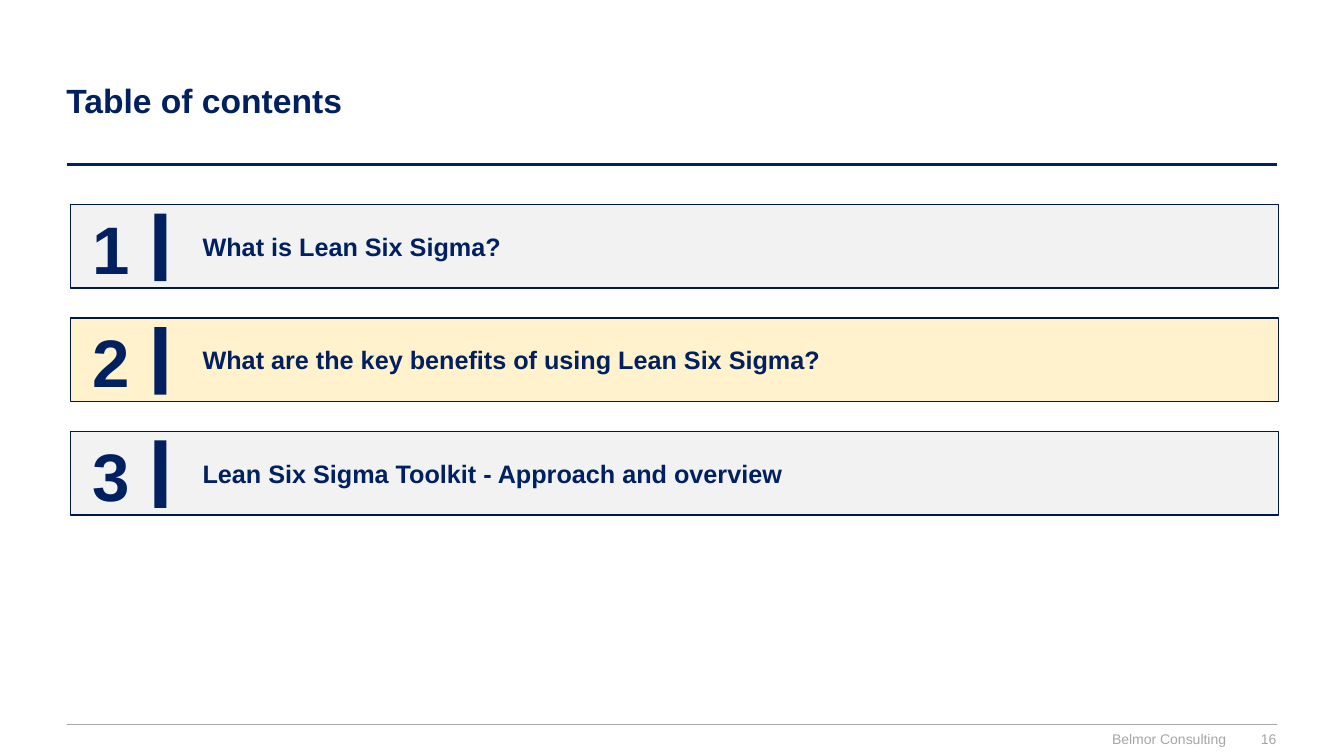
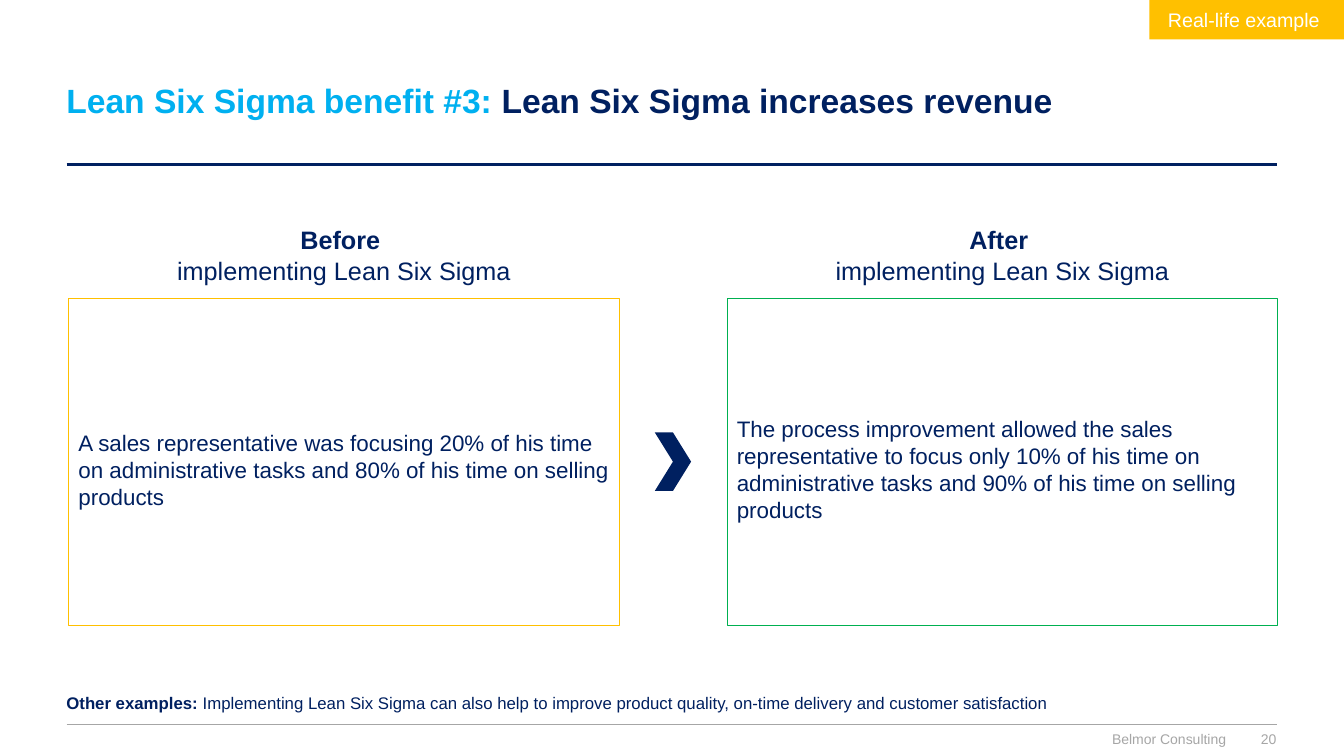
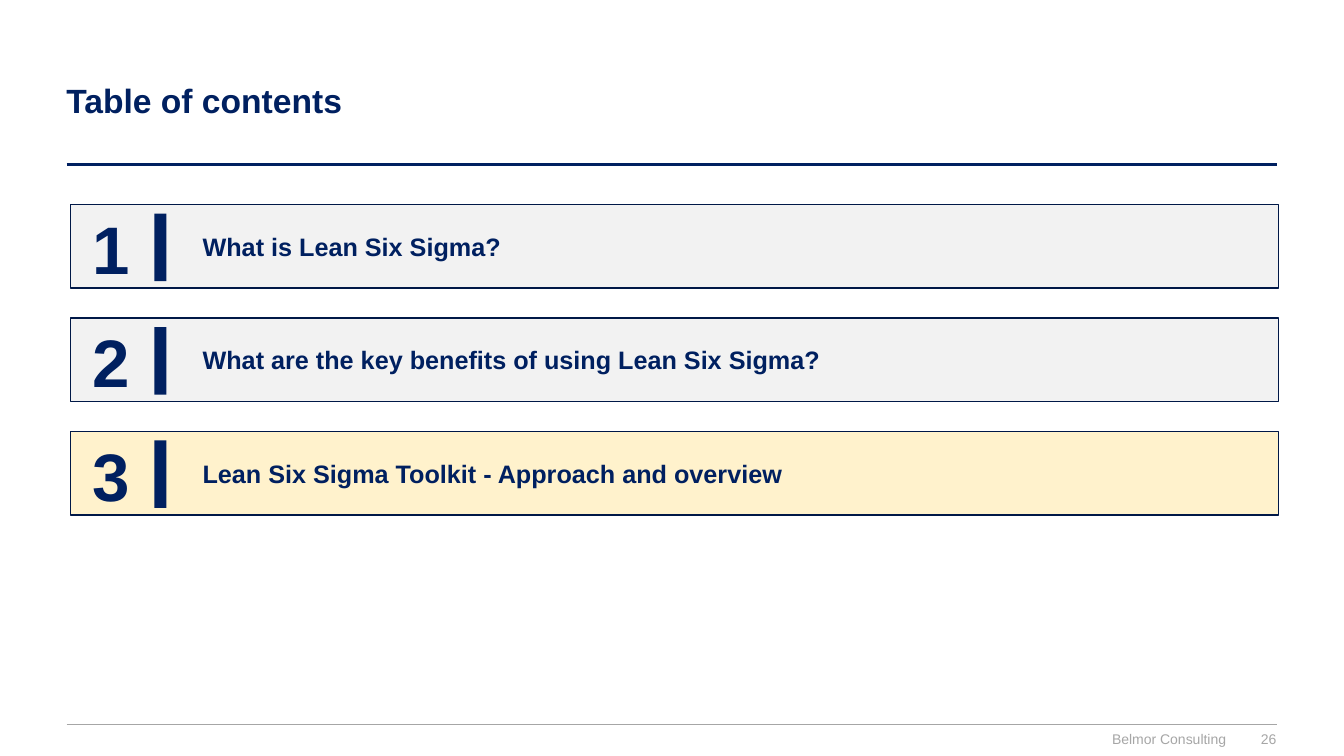
from pptx import Presentation
from pptx.dml.color import RGBColor
from pptx.enum.shapes import MSO_CONNECTOR, MSO_SHAPE
from pptx.enum.text import MSO_ANCHOR, PP_ALIGN
from pptx.oxml.ns import qn
from pptx.util import Inches, Pt
from lxml.etree import SubElement

NAVY = RGBColor(0x00, 0x20, 0x60)
EDGE = RGBColor(0x00, 0x18, 0x47)
SKY = RGBColor(0x00, 0xB0, 0xF0)
GOLD = RGBColor(0xFF, 0xC0, 0x00)
GREEN = RGBColor(0x00, 0xB0, 0x50)
CREAM = RGBColor(0xFF, 0xF2, 0xCC)
PALE = RGBColor(0xF2, 0xF2, 0xF2)
GREY = RGBColor(0xA6, 0xA6, 0xA6)
WHITE = RGBColor(0xFF, 0xFF, 0xFF)

FONT = "Arial"
W, H = 13.33, 7.5
LEFT, RIGHT = 0.66, 12.67
INSET = (0.1, 0.05, 0.1, 0.05)
FLUSH = (0, 0, 0, 0)
TOPICS = [
    "What is Lean Six Sigma?",
    "What are the key benefits of using Lean Six Sigma?",
    "Lean Six Sigma Toolkit - Approach and overview",
]


def write(sp, paras, size, color=NAVY, bold=False, align=PP_ALIGN.LEFT,
          anchor=MSO_ANCHOR.MIDDLE, inset=INSET):
    """Fill a shape with paragraphs, each a list of (text, font overrides)."""
    tf = sp.text_frame
    tf.word_wrap = True
    tf.vertical_anchor = anchor
    tf.margin_left, tf.margin_top, tf.margin_right, tf.margin_bottom = map(Inches, inset)
    for i, runs in enumerate(paras):
        p = tf.add_paragraph() if i else tf.paragraphs[0]
        p.alignment = align
        p.font.name, p.font.size, p.font.bold = FONT, Pt(size), bold
        p.font.color.rgb = color
        for text, style in runs:
            r = p.add_run()
            r.text = text
            if "bold" in style:
                r.font.bold = style["bold"]
            if "color" in style:
                r.font.color.rgb = style["color"]


def add_text(s, box, paras, size, **style):
    """Add a text box."""
    write(s.shapes.add_textbox(*map(Inches, box)), paras, size, **style)


def add_block(s, box, fill=None, line=None, width=1, kind=MSO_SHAPE.RECTANGLE):
    """Add a flat preset shape."""
    sp = s.shapes.add_shape(kind, *map(Inches, box))
    sp.shadow.inherit = False
    if fill is None:
        sp.fill.background()
    else:
        sp.fill.solid()
        sp.fill.fore_color.rgb = fill
    if line is None:
        sp.line.fill.background()
    else:
        sp.line.color.rgb = line
        sp.line.width = Pt(width)
    return sp


def add_rule(s, y, color, width):
    """Draw a horizontal rule between the margins."""
    rule = s.shapes.add_connector(MSO_CONNECTOR.STRAIGHT, Inches(LEFT), Inches(y),
                                  Inches(RIGHT), Inches(y))
    rule.line.color.rgb = color
    rule.line.width = Pt(width)
    SubElement(rule._element.spPr, qn("a:effectLst"))


def add_frame(prs, title, number):
    """Start a slide with its title, rules and footer."""
    s = prs.slides.add_slide(prs.slide_layouts[6])
    add_rule(s, 1.63, NAVY, 2)
    add_rule(s, 7.19, GREY, 1)
    add_text(s, (LEFT - 0.1, 0.4, RIGHT - LEFT + 0.1, 1.18), [title], 24, bold=True)
    for box, text in (((9.42, 7.23, 2.74, 0.21), "Belmor Consulting"),
                      ((12.27, 7.23, 0.39, 0.21), str(number))):
        add_text(s, box, [[(text, {})]], 10, color=GREY, align=PP_ALIGN.RIGHT, inset=FLUSH)
    return s


def add_topic(s, box, number, topic, fill):
    """Draw one numbered row of the table of contents."""
    x, y, w, h = box
    add_block(s, box, fill, EDGE)
    add_text(s, (x, y + 0.07, 0.81, 0.71), [[(str(number), {})]], 48, bold=True,
             align=PP_ALIGN.CENTER, inset=FLUSH)
    add_text(s, (x + 1.31, y, w - 1.81, h), [[(topic, {})]], 18, bold=True, inset=FLUSH)
    add_block(s, (x + 0.83, y + 0.09, 0.12, 0.67), NAVY)


def contents_slide(prs, number, current, box=(0.7, 2.03, 11.98, 3.08)):
    """Build a table of contents with the current topic highlighted."""
    s = add_frame(prs, [("Table of contents", {})], number)
    x, y, w, h = box
    row = 0.83
    pitch = (h - row) / (len(TOPICS) - 1)
    for i, topic in enumerate(TOPICS):
        add_topic(s, (x, y + i * pitch, w, row), i + 1, topic,
                  CREAM if i + 1 == current else PALE)


def add_panel(s, box, stage, body, color):
    """Draw a heading above an outlined statement."""
    x, y, w, h = box
    head = 0.78
    add_text(s, (x + 0.97, y, w - 1.94, 0.71),
             [[(stage, {"bold": True})], [("implementing Lean Six Sigma", {})]],
             18, align=PP_ALIGN.CENTER, anchor=MSO_ANCHOR.TOP)
    sp = add_block(s, (x, y + head, w, h - head), line=color, width=0.5)
    write(sp, [[(body, {})]], 16, inset=(0.1, 0.2, 0.1, 0.05))


def example_slide(prs, number, box=(0.68, 2.18, 11.99, 4.02)):
    """Build the before and after comparison."""
    s = add_frame(prs, [("Lean Six Sigma benefit #3: ", {"color": SKY}),
                        ("Lean Six Sigma increases revenue", {})], number)
    x, y, w, h = box
    panel = 5.46
    add_panel(s, (x, y, panel, h), "Before ",
              "A sales representative was focusing 20% of his time on administrative "
              "tasks and 80% of his time on selling products", GOLD)
    add_panel(s, (x + w - panel, y, panel, h), "After ",
              "The process improvement allowed the sales representative to focus only "
              "10% of his time on administrative tasks and 90% of his time on selling "
              "products", GREEN)
    add_block(s, (x + w / 2 - 0.18, y + 2.11, 0.36, 0.58), NAVY, kind=MSO_SHAPE.CHEVRON)
    add_text(s, (LEFT - 0.1, 6.82, 10.71, 0.3),
             [[("Other examples: ", {"bold": True}),
               ("Implementing Lean Six Sigma can also help to improve product quality, "
                "on-time delivery and customer satisfaction", {})]],
             12, anchor=MSO_ANCHOR.TOP)
    tag = add_block(s, (W - 1.93, 0, 1.93, 0.39), GOLD)
    write(tag, [[("Real-life example ", {})]], 14, color=WHITE, align=PP_ALIGN.CENTER)


def main():
    """Build and save the deck."""
    prs = Presentation()
    prs.slide_width, prs.slide_height = Inches(W), Inches(H)
    contents_slide(prs, 16, 2)
    example_slide(prs, 20)
    contents_slide(prs, 26, 3)
    prs.save("out.pptx")


if __name__ == "__main__":
    main()
